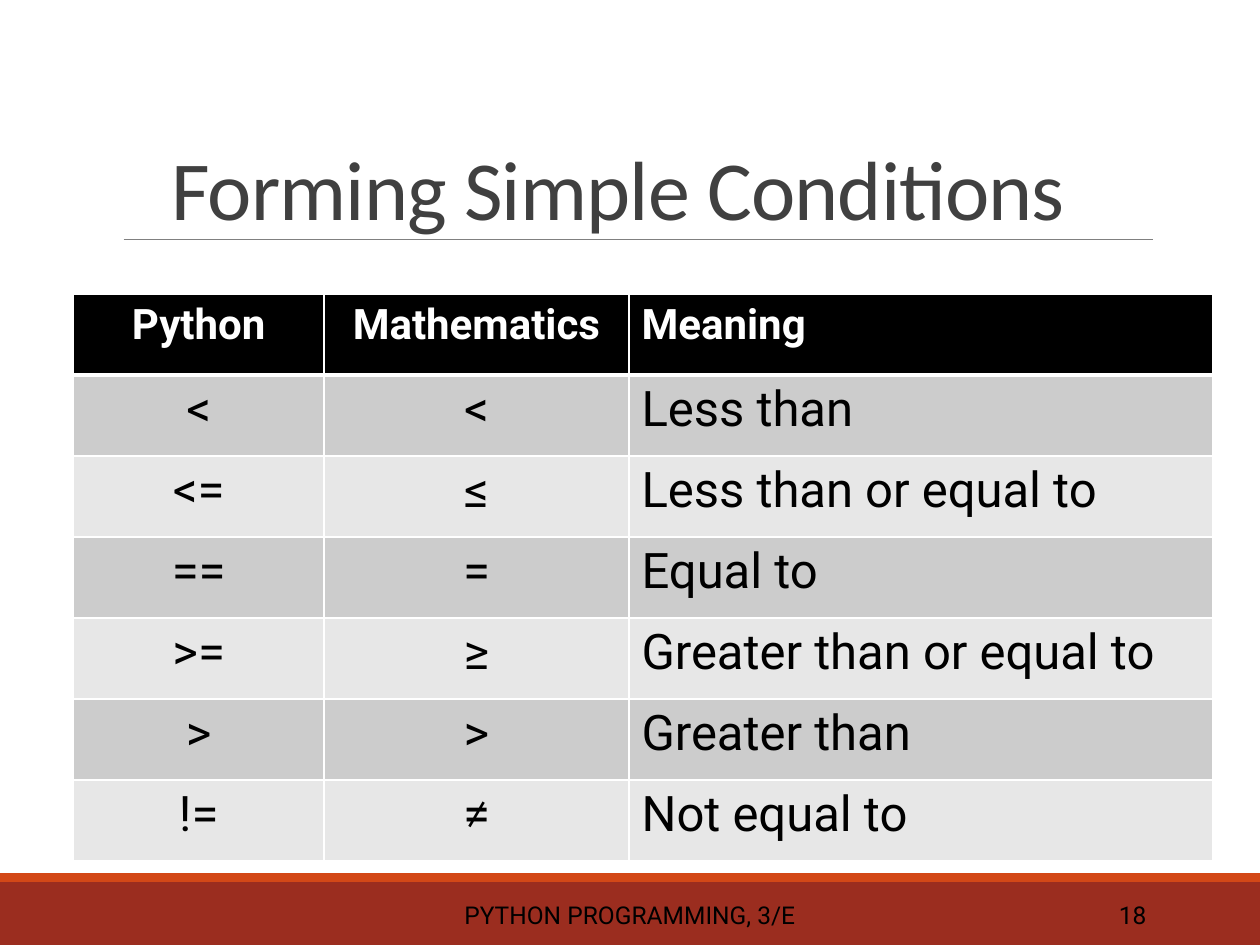
from lxml.etree import SubElement
from pptx import Presentation
from pptx.dml.color import RGBColor
from pptx.enum.shapes import MSO_CONNECTOR, MSO_SHAPE
from pptx.enum.text import MSO_ANCHOR, PP_ALIGN
from pptx.oxml.ns import qn
from pptx.util import Cm, Pt

WIDTH, HEIGHT = 25.4, 19.05
CONDITIONS = [
    ("Python", "Mathematics", "Meaning"),
    ("<", "<", "Less than"),
    ("<=", "≤", "Less than or equal to"),
    ("==", "=", "Equal to"),
    (">=", "≥", "Greater than or equal to"),
    (">", ">", "Greater than"),
    ("!=", "≠", "Not equal to"),
]
COLUMN_WIDTHS = (5.05, 6.15, 11.76)
COLUMN_ALIGNS = (PP_ALIGN.CENTER, PP_ALIGN.CENTER, PP_ALIGN.LEFT)
HEADER_FONT = {"name": "Roboto", "size": Pt(24), "bold": True}
BODY_FONT = {"name": "Roboto", "size": Pt(28), "bold": False}
FOOTER_FONT = {"name": "Roboto", "size": Pt(14)}
TITLE_FONT = {"name": "Calibri", "size": Pt(48)}


def color(hex_value):
    return RGBColor.from_string(hex_value)


def write(frame, text, font, hex_value, align):
    paragraph = frame.paragraphs[0]
    paragraph.alignment = align
    run = paragraph.add_run()
    run.text = text
    for key, value in font.items():
        setattr(run.font, key, value)
    run.font.color.rgb = color(hex_value)
    return run


def place(part, left, top, width, height):
    part.left, part.top = Cm(left), Cm(top)
    part.width, part.height = Cm(width), Cm(height)


def add_title(slide, left, top, width, height):
    title = slide.shapes.title
    place(title, left, top, width, height)
    frame = title.text_frame
    frame.word_wrap = True
    frame.vertical_anchor = MSO_ANCHOR.BOTTOM
    run = write(frame, "Forming Simple Conditions", TITLE_FONT, "404040", PP_ALIGN.LEFT)
    frame.paragraphs[0].line_spacing = 0.85
    run.font._element.set("spc", "-50")

    # Rule under the title
    rule_left, rule_top, rule_width = left - 0.71, top + height - 0.08, 20.75
    rule = slide.shapes.add_connector(
        MSO_CONNECTOR.STRAIGHT, Cm(rule_left), Cm(rule_top),
        Cm(rule_left + rule_width), Cm(rule_top))
    rule.line.color.rgb = color("808080")
    rule.line.width = Pt(0.5)
    SubElement(rule._element.spPr, qn("a:effectLst"))


def add_borders(cell, bottom_width):
    for side, width in (("L", 1), ("R", 1), ("T", 1), ("B", bottom_width)):
        border = SubElement(cell._tc.get_or_add_tcPr(), qn(f"a:ln{side}"), w=str(Pt(width)))
        fill = SubElement(border, qn("a:solidFill"))
        SubElement(fill, qn("a:srgbClr"), val="FFFFFF")


def add_conditions(slide, left, top, width, height):
    table = slide.shapes.add_table(
        len(CONDITIONS), len(COLUMN_WIDTHS), Cm(left), Cm(top), Cm(width), Cm(height)).table
    for column, column_width in zip(table.columns, COLUMN_WIDTHS):
        column.width = Cm(column_width)
    for r, condition in enumerate(CONDITIONS):
        # Black header, then alternating grey rows
        is_header = r == 0
        background = "000000" if is_header else ("E7E7E7", "CCCCCC")[r % 2]
        font = HEADER_FONT if is_header else BODY_FONT
        ink = "FFFFFF" if is_header else "000000"
        for c, text in enumerate(condition):
            cell = table.cell(r, c)
            add_borders(cell, 3 if is_header else 1)
            cell.fill.solid()
            cell.fill.fore_color.rgb = color(background)
            write(cell.text_frame, text, font, ink, COLUMN_ALIGNS[c])


def add_footer(slide, left, top, width, height):
    # Dark band with an orange strip along its top
    strip_height = 0.18
    for band_top, band_height, hex_value in (
            (top + strip_height, height - strip_height, "9B2D1F"),
            (top, strip_height, "D34817")):
        band = slide.shapes.add_shape(
            MSO_SHAPE.RECTANGLE, Cm(left), Cm(band_top), Cm(width), Cm(band_height))
        band.shadow.inherit = False
        band.fill.solid()
        band.fill.fore_color.rgb = color(hex_value)
        band.line.fill.background()

    # Book title and page number
    for text, offset, label_width, align in (
            ("PYTHON PROGRAMMING, 3/E", 7.67, 10.06, PP_ALIGN.CENTER),
            ("18", 20.62, 2.74, PP_ALIGN.RIGHT)):
        label = slide.shapes.add_textbox(
            Cm(left + offset), Cm(top + 0.33), Cm(label_width), Cm(1.02))
        label.text_frame.word_wrap = True
        label.text_frame.vertical_anchor = MSO_ANCHOR.MIDDLE
        write(label.text_frame, text, FOOTER_FONT, "000000", align)


presentation = Presentation()
presentation.slide_width, presentation.slide_height = Cm(WIDTH), Cm(HEIGHT)
slide = presentation.slides.add_slide(presentation.slide_layouts[5])
add_footer(slide, 0, 17.6, WIDTH, HEIGHT - 17.6)
add_title(slide, 3.2, 1.73, 21.64, 3.18)
add_conditions(slide, 1.48, 5.93, sum(COLUMN_WIDTHS), 11.43)
presentation.save("out.pptx")
